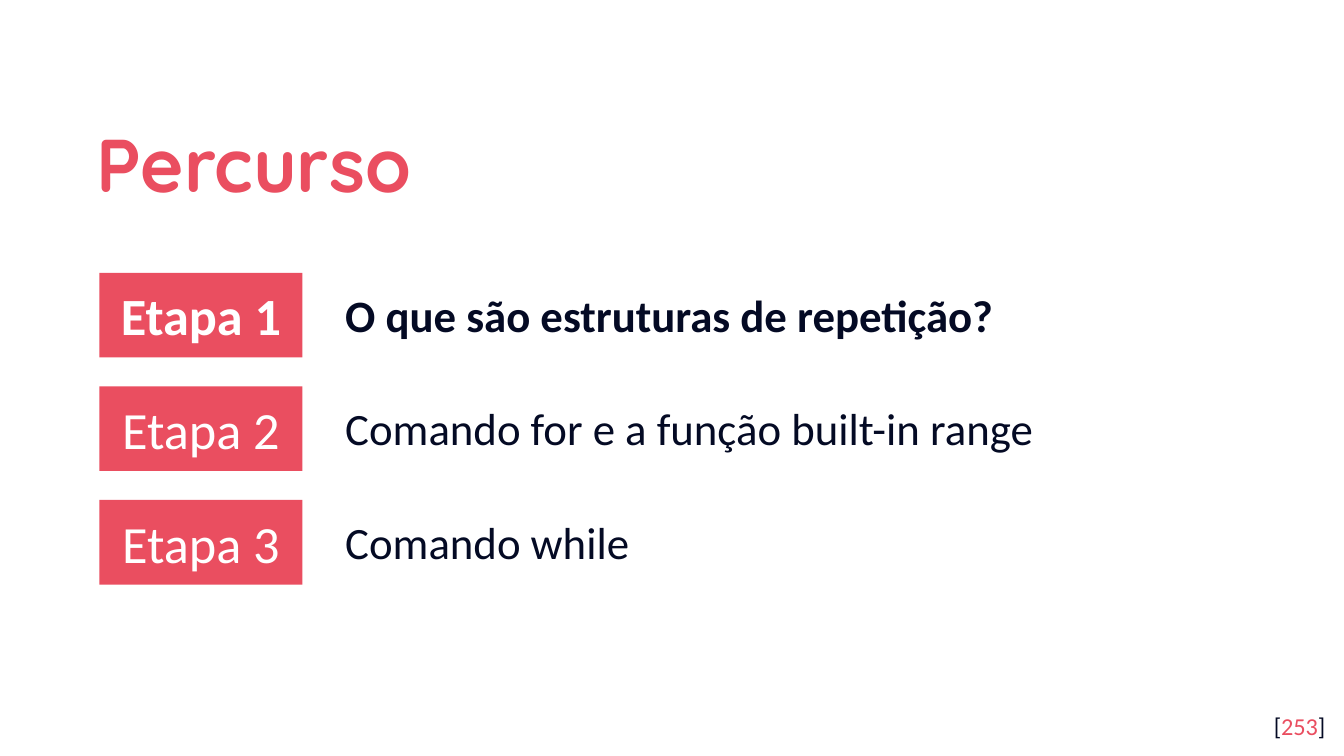
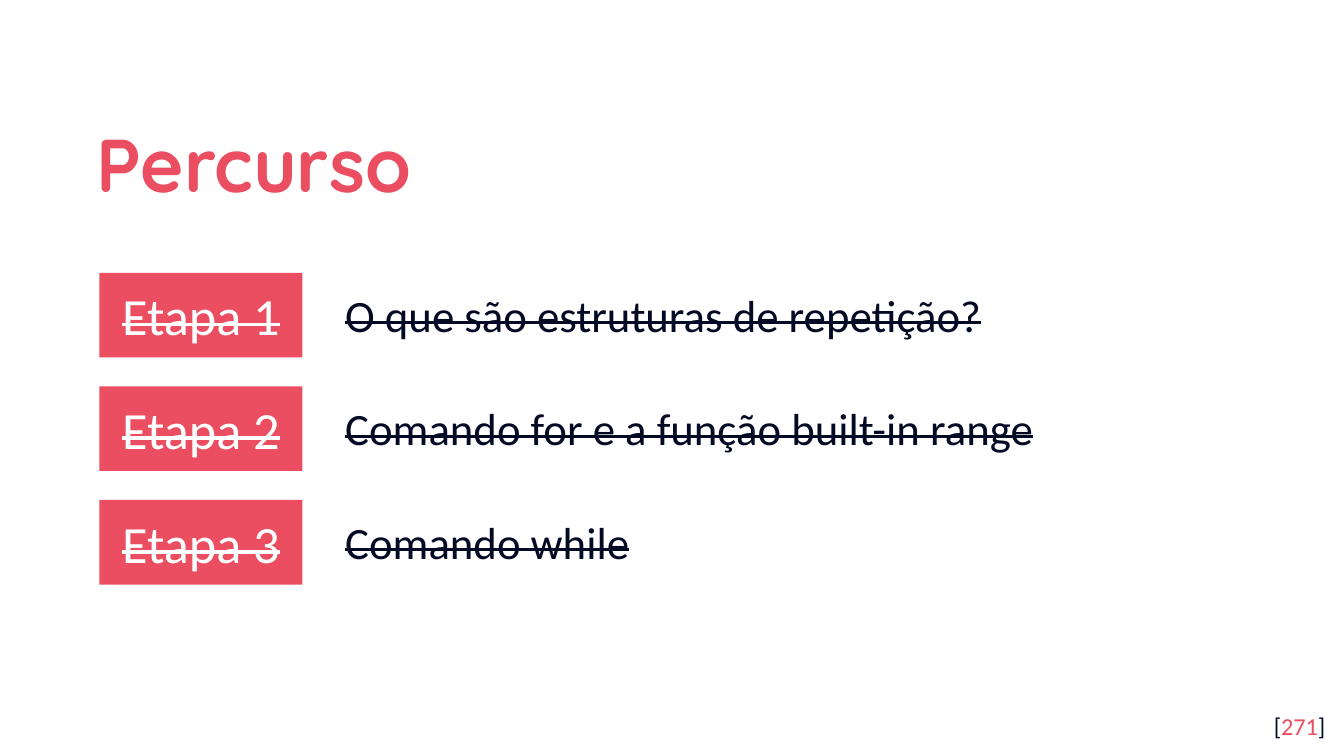
from dataclasses import dataclass

from pptx import Presentation
from pptx.dml.color import RGBColor
from pptx.enum.shapes import MSO_SHAPE
from pptx.enum.text import MSO_ANCHOR, PP_ALIGN
from pptx.shapes.autoshape import Shape
from pptx.slide import Slide
from pptx.util import Inches, Pt

RECTANGLE = MSO_SHAPE.RECTANGLE
TOP, MIDDLE = MSO_ANCHOR.TOP, MSO_ANCHOR.MIDDLE
LEFT, CENTER, RIGHT = PP_ALIGN.LEFT, PP_ALIGN.CENTER, PP_ALIGN.RIGHT

COLORS = {"coral": "EA4E60", "navy": "040A24", "white": "FFFFFF"}
TITLE_FONT = "Quicksand"
BODY_FONT = "Calibri"

TOPICS = (
    "O que são estruturas de repetição?",
    "Comando for e a função built-in range",
    "Comando while",
)
FIRST_STAGE_TOP = 2.03
LAST_STAGE_TOP = 3.72
STAGE_PITCH = (LAST_STAGE_TOP - FIRST_STAGE_TOP) / (len(TOPICS) - 1)
TOPIC_OFFSET = 0.06


@dataclass(frozen=True)
class Box:
    left: float
    top: float
    width: float
    height: float

    def lengths(self) -> list[int]:
        return [Inches(v) for v in (self.left, self.top, self.width, self.height)]


@dataclass(frozen=True)
class Stage:
    number: int
    topic: str
    current: bool = False
    done: bool = False


@dataclass(frozen=True)
class Agenda:
    page: int
    stages: list[Stage]


def rgb(color: str) -> RGBColor:
    return RGBColor.from_string(COLORS[color])


def write(
    holder: Shape,
    *pieces: tuple[str, str],
    size: float,
    font: str = BODY_FONT,
    bold: bool = False,
    strike: bool = False,
    align: PP_ALIGN = LEFT,
    anchor: MSO_ANCHOR = TOP,
    inset: float = 0.1,
    spacing: float = 1.0,
) -> None:
    frame = holder.text_frame
    frame.word_wrap = True
    frame.vertical_anchor = anchor
    frame.margin_left = frame.margin_right = Inches(0.1)
    frame.margin_top = frame.margin_bottom = Inches(inset)
    paragraph = frame.paragraphs[0]
    paragraph.alignment = align
    paragraph.line_spacing = spacing
    for text, color in pieces:
        run = paragraph.add_run()
        run.text = text
        run.font.name = font
        run.font.size = Pt(size)
        run.font.bold = bold
        run.font.color.rgb = rgb(color)
        if strike:
            run.font._element.set("strike", "sngStrike")


def add_title(slide: Slide, text: str) -> None:
    title = slide.shapes.add_textbox(*Box(0.62, 0.7, 8.1, 0.92).lengths())
    write(title, (text, "coral"), size=40, font=TITLE_FONT, bold=True,
          anchor=MIDDLE, spacing=1.15)


def add_page_number(slide: Slide, page: int) -> None:
    footer = slide.shapes.add_textbox(*Box(9.36, 5.19, 0.6, 0.43).lengths())
    write(footer, ("[", "navy"), (str(page), "coral"), ("]", "navy"),
          size=13, align=RIGHT)


def add_stage(slide: Slide, stage: Stage) -> None:
    top = FIRST_STAGE_TOP + (stage.number - 1) * STAGE_PITCH
    label = slide.shapes.add_shape(RECTANGLE, *Box(0.74, top, 1.51, 0.63).lengths())
    label.shadow.inherit = False
    label.fill.solid()
    label.fill.fore_color.rgb = rgb("coral")
    label.line.fill.background()
    write(label, (f"Etapa {stage.number}", "white"), size=28, bold=stage.current,
          strike=stage.done, align=CENTER, anchor=MIDDLE)

    topic = slide.shapes.add_textbox(
        *Box(2.47, top + TOPIC_OFFSET, 6.75, 0.5).lengths())
    write(topic, (stage.topic, "navy"), size=24, bold=stage.current,
          strike=stage.done, inset=0.05)


def add_agenda(deck: Presentation, agenda: Agenda) -> None:
    slide = deck.slides.add_slide(deck.slide_layouts[6])
    slide.background.fill.solid()
    slide.background.fill.fore_color.rgb = rgb("white")
    add_title(slide, "Percurso")
    for stage in agenda.stages:
        add_stage(slide, stage)
    add_page_number(slide, agenda.page)


def main() -> None:
    deck = Presentation()
    deck.slide_width = Inches(10)
    deck.slide_height = Inches(10 * 9 / 16)
    numbered = list(enumerate(TOPICS, start=1))
    opening = Agenda(253, [Stage(n, topic, current=n == 1) for n, topic in numbered])
    closing = Agenda(271, [Stage(n, topic, done=True) for n, topic in numbered])
    for agenda in (opening, closing):
        add_agenda(deck, agenda)
    deck.save("out.pptx")


if __name__ == "__main__":
    main()
